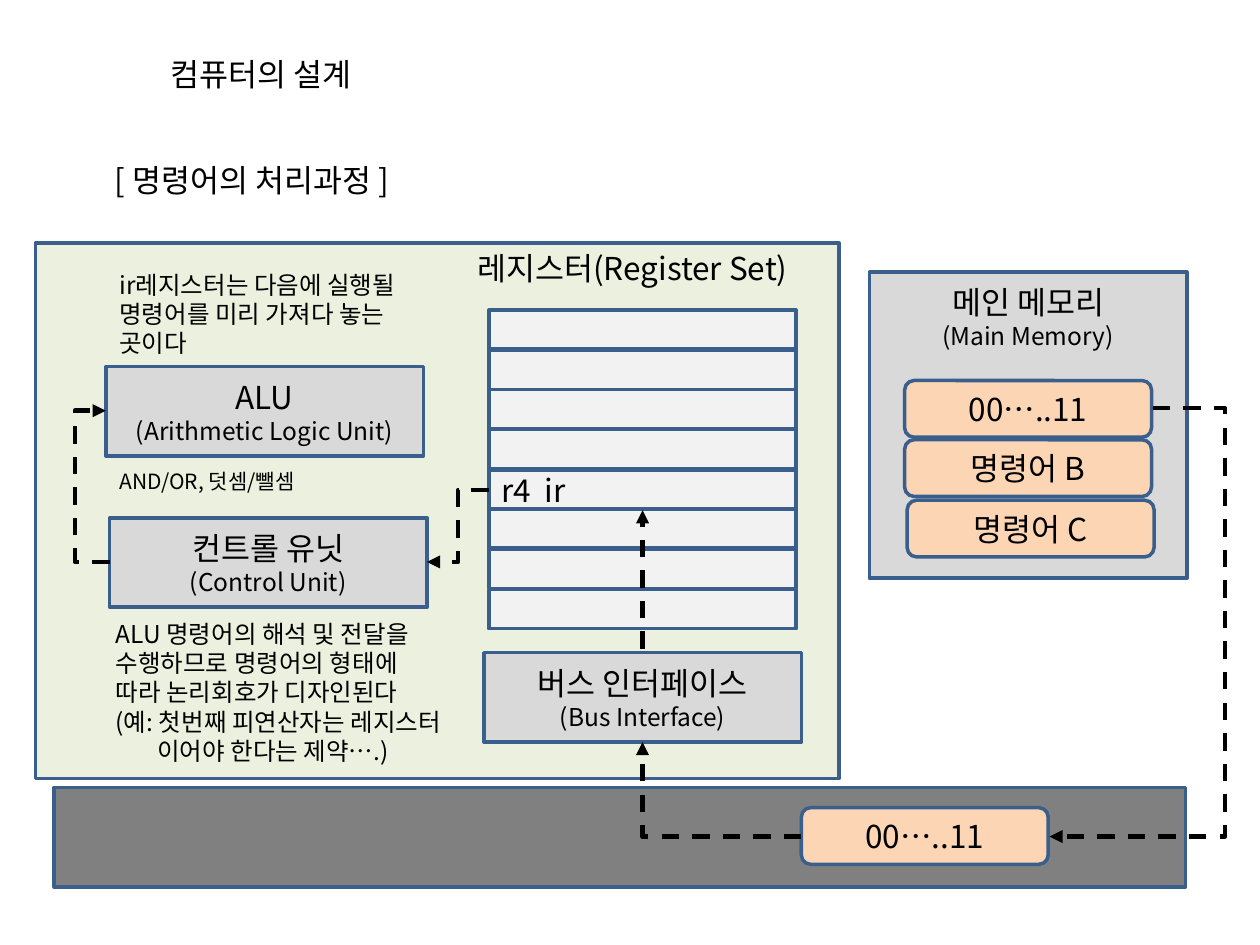
from lxml import etree
from pptx import Presentation
from pptx.dml.color import RGBColor
from pptx.enum import dml, shapes, text
from pptx.oxml import ns
from pptx import util as u

PX = 9144  # 100 px to the inch
FONT = "Noto Sans CJK KR"
COLORS = {
    "text": "000000", "outline": "3A5F8C", "cpu": "EBF1DE", "unit": "D9D9D9",
    "register": "F2F2F2", "bus": "808080", "instruction": "FCD5B5",
}


def write(box, lines, sizes, align=text.PP_ALIGN.LEFT):
    """Fill a shape with one paragraph per line, each in its own point size."""
    frame = box.text_frame
    frame.text = "\n".join(lines)
    for para, size in zip(frame.paragraphs, sizes):
        para.alignment = align
        for span in para.runs:
            span.font.size = u.Pt(size)
            span.font.name = FONT
            span.font.color.rgb = RGBColor.from_string(COLORS["text"])
            etree.SubElement(span.font._element, ns.qn("a:ea"), typeface=FONT)


def add_block(bounds, color, kind=shapes.MSO_SHAPE.RECTANGLE):
    block = page.shapes.add_shape(kind, *[value * PX for value in bounds])
    block.shadow.inherit = False
    block.fill.solid()
    block.fill.fore_color.rgb = RGBColor.from_string(COLORS[color])
    block.line.color.rgb = RGBColor.from_string(COLORS["outline"])
    block.line.width = u.Pt(2)
    block.text_frame.vertical_anchor = text.MSO_ANCHOR.MIDDLE
    return block


deck = Presentation()
deck.slide_width, deck.slide_height = 1000 * PX, 750 * PX
page = deck.slides.add_slide(deck.slide_layouts[5])

title = page.shapes.title
title.left, title.top, title.width, title.height = 125 * PX, 39 * PX, 181 * PX, 40 * PX
write(title, ["컴퓨터의 설계"], [18])
title.text_frame.word_wrap = False
title.text_frame.auto_size = text.MSO_AUTO_SIZE.SHAPE_TO_FIT_TEXT
title.text_frame.vertical_anchor = text.MSO_ANCHOR.TOP

# Processor, bus and registers
add_block((28, 193, 638, 425), "cpu")
add_block((43, 625, 898, 79), "bus")
for row in range(8):
    register = add_block((388, round(246 + 31.7 * row), 244, 31), "register")
    if row == 4:
        write(register, ["r4  ir"], [18])

# Units with a Korean name above an English one
units = [
    ((84, 291, 252, 71), "ALU", "(Arithmetic Logic Unit)"),
    ((87, 411, 252, 71), "컨트롤 유닛", "(Control Unit)"),
    ((384, 518, 252, 71), "버스 인터페이스", "(Bus Interface)"),
    ((690, 216, 252, 243), "메인 메모리", "(Main Memory)"),
]
for bounds, name, english in units:
    unit = add_block(bounds, "unit")
    write(unit, [name, english], [18, 14], text.PP_ALIGN.CENTER)
memory_frame = unit.text_frame
memory_frame.vertical_anchor = text.MSO_ANCHOR.TOP
memory_frame.margin_top = 9 * PX

# Text boxes: bounds, size, wrap, lines
notes = [
    ((369, 193, 273, 40), 18, False, ["레지스터(Register Set)"]),
    ((81, 123, 264, 40), 18, False, ["[ 명령어의 처리과정 ]"]),
    ((85, 209, 276, 81), 14, True,
     ["ir레지스터는 다음에 실행될", "명령어를 미리 가져다 놓는 곳이다"]),
    ((85, 367, 160, 30), 12, True, ["AND/OR, 덧셈/뺄셈"]),
    ((82, 486, 306, 128), 14, False,
     ["ALU 명령어의 해석 및 전달을", "수행하므로 명령어의 형태에",
      "따라 논리회호가 디자인된다", "(예: 첫번째 피연산자는 레지스터",
      "이어야 한다는 제약….)"]),
]
for bounds, size, wrap, lines in notes:
    note = page.shapes.add_textbox(*[value * PX for value in bounds])
    write(note, lines, [size] * len(lines))
    note.text_frame.word_wrap = wrap
    note.text_frame.auto_size = text.MSO_AUTO_SIZE.SHAPE_TO_FIT_TEXT
hanging_line = note.text_frame.paragraphs[-1]
hanging_line._p.get_or_add_pPr().set("marL", str(33 * PX))

# Instructions in memory and on the bus
instructions = [
    (718, 302, "00…..11"), (718, 349, "명령어 B"),
    (720, 397, "명령어 C"), (636, 641, "00…..11"),
]
for left, top, label in instructions:
    card = add_block((left, top, 196, 45), "instruction",
                     shapes.MSO_SHAPE.ROUNDED_RECTANGLE)
    write(card, [label], [18], text.PP_ALIGN.CENTER)

# Flow of an instruction: from, to, preset, position of the bend
flows = [
    ((915, 324), (833, 664), "bentConnector3", -70000),
    ((636, 664), (510, 589), "bentConnector2", None),
    ((510, 515), (510, 405), "line", None),
    ((388, 389), (339, 446), "bentConnector3", 50000),
    ((87, 446), (84, 326), "bentConnector3", 916100),
]
for start, end, preset, bend in flows:
    arrow = page.shapes.add_connector(
        shapes.MSO_CONNECTOR.ELBOW, *[value * PX for value in start + end])
    arrow.line.color.rgb = RGBColor.from_string(COLORS["text"])
    arrow.line.width = u.Pt(2.5)
    arrow.line.dash_style = dml.MSO_LINE.DASH
    properties = arrow._element.spPr
    etree.SubElement(properties.find(ns.qn("a:ln")), ns.qn("a:tailEnd"), type="triangle")
    etree.SubElement(properties, ns.qn("a:effectLst"))
    geometry = properties.find(ns.qn("a:prstGeom"))
    geometry.set("prst", preset)
    if bend is not None:
        guides = geometry.find(ns.qn("a:avLst"))
        etree.SubElement(guides, ns.qn("a:gd"), name="adj1", fmla=f"val {bend}")

deck.save("out.pptx")
